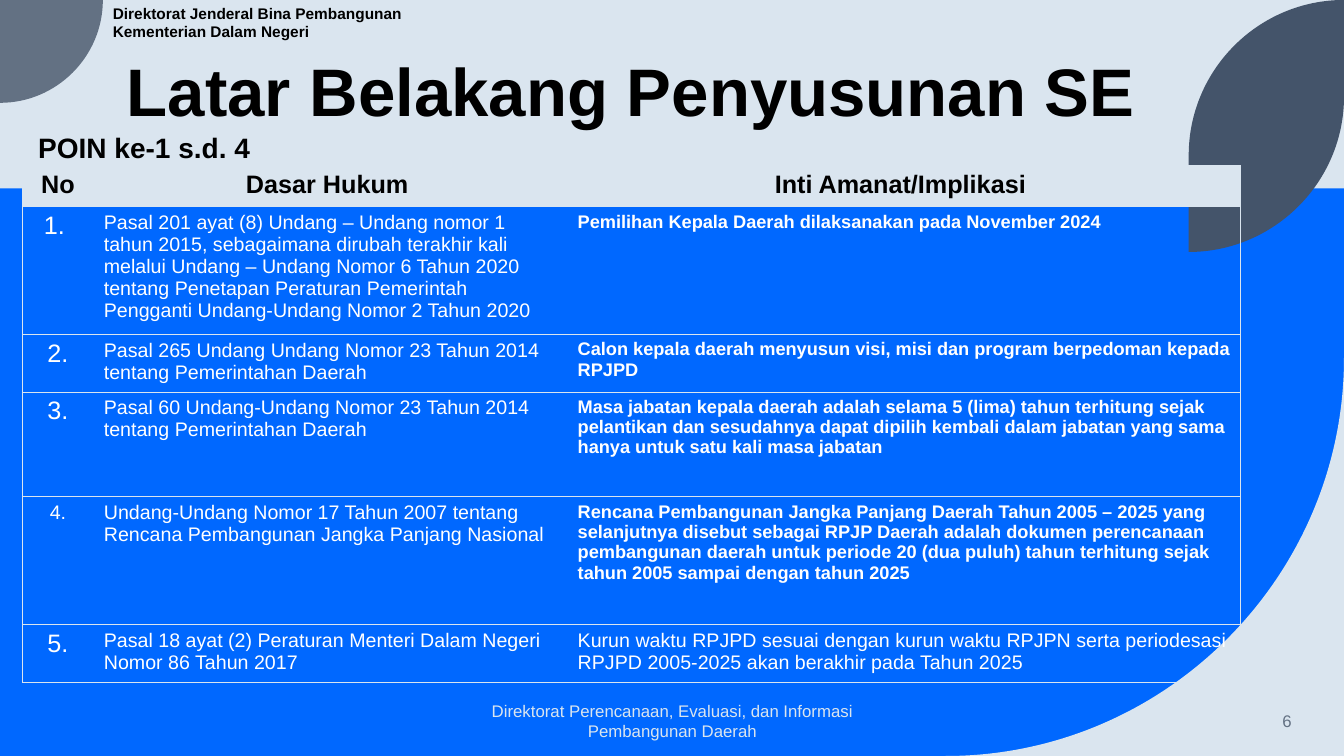
from dataclasses import dataclass

from lxml.etree import SubElement
from pptx import Presentation
from pptx.dml.color import RGBColor
from pptx.enum.shapes import MSO_SHAPE
from pptx.enum.text import MSO_ANCHOR, PP_ALIGN
from pptx.oxml.ns import qn
from pptx.util import Inches, Pt


@dataclass(frozen=True)
class Theme:
    font: str = "Arial"
    pale: str = "DAE5EF"
    blue: str = "0068FF"
    slate: str = "44546A"
    grey: str = "637183"
    black: str = "000000"
    white: str = "FFFFFF"
    title: int = 48
    subtitle: int = 20
    heading: int = 18
    body: int = 14
    emphasis: int = 13
    footer: int = 12
    agency: int = 11
    border: float = 0.5


THEME = Theme()
WIDTH, HEIGHT = 13.33, 7.5
NO_STYLE = "{2D5ABB26-0587-4C30-8999-92F81FD0307C}"
ROUND = 0.55  # handle length of a quarter circle, relative to its radius

COLUMNS = [0.71, 4.7, 6.67]
HEADINGS = ["No", "Dasar Hukum ", "Inti Amanat/Implikasi "]
# Row height, number, number size, legal basis, implication, implication is bold
ROWS = [
    (1.04, "1. ", THEME.heading,
     "Pasal 201 ayat (8) Undang – Undang nomor 1 tahun 2015, sebagaimana dirubah "
     "terakhir kali melalui Undang – Undang Nomor 6 Tahun 2020 tentang Penetapan "
     "Peraturan Pemerintah Pengganti Undang-Undang Nomor 2 Tahun 2020",
     "Pemilihan Kepala Daerah dilaksanakan pada November 2024", True),
    (0.57, "2.", THEME.heading,
     "Pasal 265 Undang Undang Nomor 23 Tahun 2014 tentang Pemerintahan Daerah",
     "Calon kepala daerah menyusun visi, misi dan program berpedoman kepada RPJPD",
     True),
    (1.04, "3.", THEME.heading,
     "Pasal 60 Undang-Undang Nomor 23 Tahun 2014 tentang Pemerintahan Daerah",
     "Masa jabatan kepala daerah adalah selama 5 (lima) tahun terhitung sejak "
     "pelantikan dan sesudahnya dapat dipilih kembali dalam jabatan yang sama "
     "hanya untuk satu kali masa jabatan", True),
    (1.27, "4.", THEME.body,
     "Undang-Undang Nomor 17 Tahun 2007 tentang Rencana Pembangunan Jangka "
     "Panjang Nasional",
     "Rencana Pembangunan Jangka Panjang Daerah Tahun 2005 – 2025 yang "
     "selanjutnya disebut sebagai RPJP Daerah adalah dokumen perencanaan "
     "pembangunan daerah untuk periode 20 (dua puluh) tahun terhitung sejak "
     "tahun 2005 sampai dengan tahun 2025", True),
    (0.41, "5.", THEME.heading,
     "Pasal 18 ayat (2) Peraturan Menteri Dalam Negeri Nomor 86 Tahun 2017",
     "Kurun waktu RPJPD sesuai dengan kurun waktu RPJPN serta periodesasi "
     "RPJPD 2005-2025 akan berakhir pada Tahun 2025", False),
]


def paint(shape, color):
    shape.shadow.inherit = False
    shape.fill.solid()
    shape.fill.fore_color.rgb = RGBColor.from_string(color)
    shape.line.fill.background()


def quarter(start, corner, end):
    """Curve points of a quarter circle inside the given corner."""
    handles = [tuple(p + (c - p) * ROUND for p, c in zip(point, corner))
               for point in (start, end)]
    return [*handles, end]


def add_outline(slide, start, parts, color):
    """Each part is one point for a straight side, or three for a curve."""
    points = [(Inches(x), Inches(y)) for part in parts for x, y in part]
    builder = slide.shapes.build_freeform(*map(Inches, start))
    builder.add_line_segments(points, close=True)
    shape = builder.convert_to_shape()
    sides = iter(list(shape._element.iter(qn("a:lnTo"))))
    for part in parts:
        first, *others = [next(sides) for _ in part]
        if others:
            curve = first.makeelement(qn("a:cubicBezTo"))
            first.addprevious(curve)
            for side in (first, *others):
                curve.append(side[0])
                side.getparent().remove(side)
    paint(shape, color)


def write(frame, lines, size, color, bold=False, align=PP_ALIGN.LEFT, spacing=None):
    for index, line in enumerate(lines):
        paragraph = frame.paragraphs[0] if index == 0 else frame.add_paragraph()
        paragraph.alignment = align
        paragraph.line_spacing = spacing
        run = paragraph.add_run()
        run.text = line
        run.font.color.rgb = RGBColor.from_string(color)
        for name, value in {"name": THEME.font, "size": Pt(size), "bold": bold}.items():
            setattr(run.font, name, value)


def add_text(slide, box, lines, size, color, anchor=MSO_ANCHOR.TOP, **style):
    frame = slide.shapes.add_textbox(*map(Inches, box)).text_frame
    for name, value in {"word_wrap": True, "vertical_anchor": anchor}.items():
        setattr(frame, name, value)
    write(frame, lines, size, color, **style)


def add_backdrop(slide, box):
    left, top, width, height = box
    right, bottom = left + width, top + height
    slide.background.fill.solid()
    slide.background.fill.fore_color.rgb = RGBColor.from_string(THEME.pale)

    # Blue field with its lower right corner rounded off
    field_top = top + 1.87
    field = slide.shapes.add_shape(
        MSO_SHAPE.RECTANGLE,
        *map(Inches, (left, field_top, width, bottom - field_top)))
    paint(field, THEME.blue)
    bend, corner = 3.95, (right, bottom)
    bend_start, bend_end = (right, bottom - bend), (right - bend, bottom)
    add_outline(slide, bend_start,
                [quarter(bend_start, corner, bend_end), [corner]], THEME.pale)

    # Quarter disc at upper left
    disc = 1.02
    disc_start, disc_end = (left + disc, top), (left, top + disc)
    add_outline(slide, disc_start,
                [quarter(disc_start, (left + disc, top + disc), disc_end),
                 [(left, top)]], THEME.grey)

    # Leaf at upper right
    leaf_left, leaf_bottom, radius = right - 1.54, top + 2.5, 1.54
    shoulder, tip = (leaf_left, top + radius), (right, top)
    hip, foot = (right, leaf_bottom - radius), (leaf_left, leaf_bottom)
    add_outline(slide, shoulder,
                [quarter(shoulder, (leaf_left, top), tip), [hip],
                 quarter(hip, (right, leaf_bottom), foot)], THEME.slate)


def add_header(slide, box):
    left, top, _, _ = box
    add_text(slide, (left + 1.02, top - 0.01, 3.55, 0.47),
             ["Direktorat Jenderal Bina Pembangunan", "Kementerian Dalam Negeri"],
             THEME.agency, THEME.black, bold=True)
    add_text(slide, (left + 1.16, top - 0.1, 10.69, 1.45),
             ["Latar Belakang Penyusunan SE"], THEME.title, THEME.black,
             MSO_ANCHOR.BOTTOM, bold=True, spacing=0.9)
    add_text(slide, (left + 0.28, top + 1.25, 2.9, 0.44), ["POIN ke-1 s.d. 4"],
             THEME.subtitle, THEME.black, bold=True)


def add_footer(slide, box):
    left, top, _, height = box
    add_text(slide, (left + 4.42, top, 4.5, height),
             ["Direktorat Perencanaan, Evaluasi, dan Informasi Pembangunan Daerah"],
             THEME.footer, THEME.pale, MSO_ANCHOR.MIDDLE, align=PP_ALIGN.CENTER)
    add_text(slide, (left + 11.16, top, 1.75, height), ["6"], THEME.footer,
             THEME.grey, MSO_ANCHOR.MIDDLE, align=PP_ALIGN.RIGHT)


def set_borders(cell, sides):
    properties = cell._tc.get_or_add_tcPr()
    for side in sides:
        line = SubElement(properties, qn(f"a:ln{side}"), w=str(Pt(THEME.border)))
        fill = SubElement(line, qn("a:solidFill"))
        SubElement(fill, qn("a:srgbClr"), val=THEME.pale)


def add_legal_table(slide, box):
    heights = [0.41] + [row[0] for row in ROWS]
    table = slide.shapes.add_table(
        len(heights), len(COLUMNS), *map(Inches, box)).table
    table._tbl.tblPr.find(qn("a:tableStyleId")).text = NO_STYLE
    for column, width in zip(table.columns, COLUMNS):
        column.width = Inches(width)
    for row, height in zip(table.rows, heights):
        row.height = Inches(height)

    # Each cell holds text, size, bold and alignment
    center, start = PP_ALIGN.CENTER, PP_ALIGN.LEFT
    grid = [[(heading, THEME.heading, True, center) for heading in HEADINGS]]
    for _, number, number_size, basis, implication, strong in ROWS:
        grid.append([
            (number, number_size, False, center),
            (basis, THEME.body, False, start),
            (implication, THEME.emphasis if strong else THEME.body, strong, start)])

    edges = ["LTB", "TB", "RTB"]
    for r, cells in enumerate(grid):
        for c, (text, size, bold, align) in enumerate(cells):
            cell = table.cell(r, c)
            set_borders(cell, edges[c])
            if r == 0:
                cell.fill.solid()
                cell.fill.fore_color.rgb = RGBColor.from_string(THEME.pale)
            else:
                cell.fill.background()
            write(cell.text_frame, [text], size,
                  THEME.white if r else THEME.black, bold, align)


def main():
    deck = Presentation()
    deck.slide_width, deck.slide_height = Inches(WIDTH), Inches(HEIGHT)
    slide = deck.slides.add_slide(deck.slide_layouts[6])
    add_backdrop(slide, (0, 0, WIDTH, HEIGHT))
    add_header(slide, (0, 0, WIDTH, 1.69))
    add_footer(slide, (0, 6.95, WIDTH, 0.4))
    add_legal_table(slide, (0.22, 1.64, sum(COLUMNS), 4.74))
    deck.save("out.pptx")


if __name__ == "__main__":
    main()
